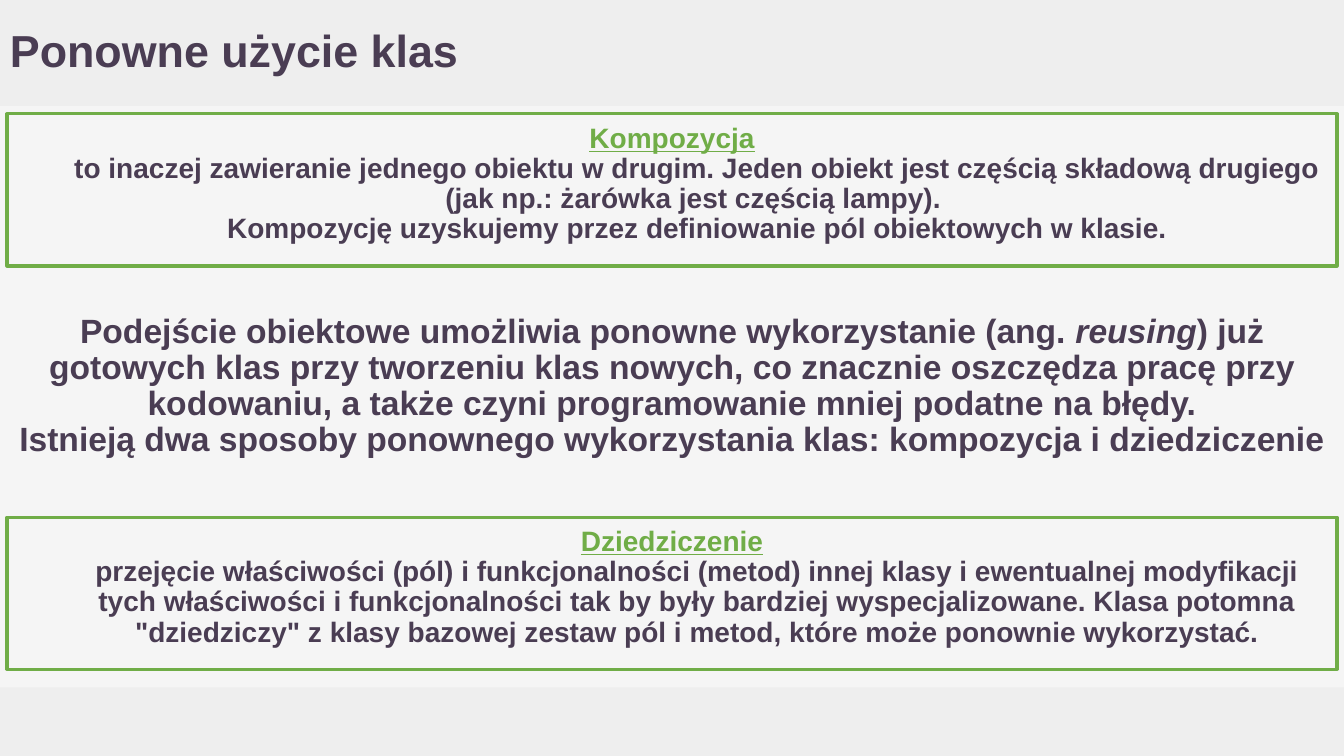
import pptx
import pptx.dml.color
import pptx.enum.shapes
import pptx.enum.text
import pptx.oxml.ns
import pptx.util
from lxml import etree

Inches = pptx.util.Inches
ALIGN = pptx.enum.text.PP_ALIGN
ANCHOR = pptx.enum.text.MSO_ANCHOR
RECT = pptx.enum.shapes.MSO_SHAPE.RECTANGLE

WIDE, HIGH = 13.33, 7.5
COLORS = {"back": "F5F5F5", "band": "EEEEEE", "text": "4A3D53", "green": "70AD47"}
FONT = {"name": "Arial", "bold": True}
INSET = Inches(0.1)
FRAME = {"word_wrap": True, "margin_left": INSET, "margin_right": INSET,
         "margin_top": INSET, "margin_bottom": INSET}


def color(name):
    return pptx.dml.color.RGBColor.from_string(COLORS[name])


def apply(item, form):
    for key, value in form.items():
        setattr(item, key, value)


def write(frame, paras, size, anchor, align):
    """Each paragraph is (left indent, runs); each run is (text, color, format)."""
    apply(frame, {**FRAME, "vertical_anchor": anchor})
    for index, (indent, runs) in enumerate(paras):
        para = frame.paragraphs[0] if index == 0 else frame.add_paragraph()
        apply(para, {"alignment": align, "line_spacing": 0.9})
        if indent:
            props = para._p.get_or_add_pPr()
            props.set("marL", str(Inches(indent)))
            props.set("indent", "0")
        for text, tint, form in runs:
            run = para.add_run()
            run.text = text
            apply(run.font, {**FONT, "size": pptx.util.Pt(size), **form})
            run.font.color.rgb = color(tint)


def draw_rect(slide, box):
    shape = slide.shapes.add_shape(RECT, *map(Inches, box))
    shape.shadow.inherit = False
    return shape


def add_band(slide, box):
    band = draw_rect(slide, box)
    band.fill.solid()
    band.fill.fore_color.rgb = color("band")
    band.line.fill.background()


def add_text(slide, box, paras, size, align):
    label = slide.shapes.add_textbox(*map(Inches, box))
    write(label.text_frame, paras, size, ANCHOR.MIDDLE, align)


def add_card(slide, box, head, body):
    card = draw_rect(slide, box)
    card.fill.background()
    card.line.color.rgb = color("green")
    card.line.width = pptx.util.Pt(2.25)
    etree.SubElement(card.line._get_or_add_ln(), pptx.oxml.ns.qn("a:round"))
    paras = [(0, [(head, "green", {"underline": True})])]
    paras += [(0.5, [(text, "text", {})]) for text in body]
    write(card.text_frame, paras, 20, ANCHOR.TOP, ALIGN.CENTER)


def main():
    deck = pptx.Presentation()
    apply(deck, {"slide_width": Inches(WIDE), "slide_height": Inches(HIGH)})
    slide = deck.slides.add_slide(deck.slide_layouts[6])
    slide.background.fill.solid()
    slide.background.fill.fore_color.rgb = color("back")

    # Bands at the bottom and top
    top, foot = 1.05, 0.68
    add_band(slide, (0, HIGH - foot, WIDE, foot))
    add_band(slide, (0, 0, WIDE, top))

    # Title
    add_text(slide, (0, 0, 11.92, top),
             [(0, [("Ponowne użycie klas", "text", {})])], 32, ALIGN.LEFT)

    # Introduction
    side = 0.07
    wide = WIDE - 2 * side
    add_text(slide, (side, 2.82, wide, 2.03), [
        (0, [("Podejście obiektowe umożliwia ponowne wykorzystanie (ang. ", "text", {}),
             ("reusing", "text", {"italic": True}),
             (") już gotowych klas przy tworzeniu klas nowych, co znacznie oszczędza "
              "pracę przy kodowaniu, a także czyni programowanie mniej podatne na błędy.",
              "text", {})]),
        (0, [("Istnieją dwa sposoby ponownego wykorzystania klas: "
              "kompozycja i dziedziczenie", "text", {})]),
    ], 24, ALIGN.CENTER)

    # Definition cards
    cards = [
        (1.13, "Kompozycja", [
            "to inaczej zawieranie jednego obiektu w drugim. Jeden obiekt jest częścią "
            "składową drugiego (jak np.: żarówka jest częścią lampy). ",
            "Kompozycję uzyskujemy przez definiowanie pól obiektowych w klasie."]),
        (5.13, "Dziedziczenie", [
            "przejęcie właściwości (pól) i funkcjonalności (metod) innej klasy i "
            "ewentualnej modyfikacji tych właściwości i funkcjonalności tak by były "
            "bardziej wyspecjalizowane. Klasa potomna \"dziedziczy\" z klasy bazowej "
            "zestaw pól i metod, które może ponownie wykorzystać."]),
    ]
    for y, head, body in cards:
        add_card(slide, (side, y, wide, 1.51), head, body)

    deck.save("out.pptx")


if __name__ == "__main__":
    main()
